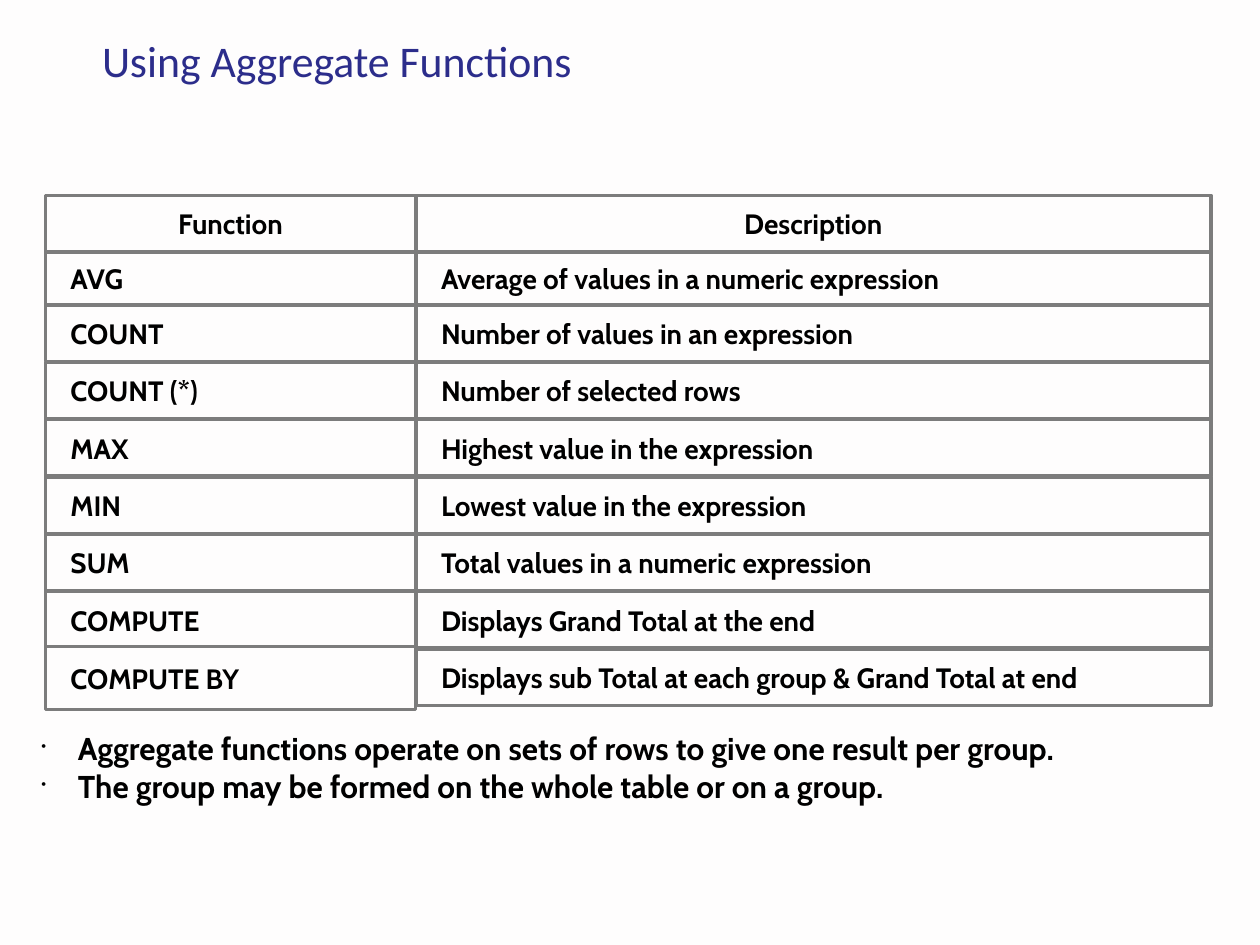
from lxml.etree import SubElement
from pptx import Presentation
from pptx.dml.color import RGBColor
from pptx.enum.shapes import MSO_SHAPE
from pptx.enum.text import MSO_ANCHOR, PP_ALIGN
from pptx.oxml.ns import qn
from pptx.util import Inches, Pt

COLORS = {"paper": "FEFDFD", "border": "7C7C7C", "text": "000000", "title": "2C2D8B"}

ROWS = [
    ("Function", "Description"),
    ("AVG", "Average of values in a numeric expression"),
    ("COUNT", "Number of values in an expression"),
    ("COUNT (*)", "Number of selected rows"),
    ("MAX", "Highest value in the expression"),
    ("MIN", "Lowest value in the expression"),
    ("SUM", "Total values in a numeric expression"),
    ("COMPUTE", "Displays Grand Total at the end"),
    ("COMPUTE BY", "Displays sub Total at each group & Grand Total at end"),
]
COLUMNS = [(0.36, 2.94), (3.3, 6.31)]
NOTES = [
    "Aggregate functions operate on sets of rows to give one result per group.",
    "The group may be formed on the whole table or on a group.",
]


def style_runs(paragraph, size, face, color, bold):
    for run in paragraph.runs:
        run.font.size = Pt(size)
        run.font.name = face
        run.font.bold = bold
        run.font.color.rgb = RGBColor.from_string(COLORS[color])


def set_margins(frame, horizontal, vertical):
    frame.margin_left = frame.margin_right = Inches(horizontal)
    frame.margin_top = frame.margin_bottom = Inches(vertical)


presentation = Presentation()
presentation.slide_width = Inches(10)
presentation.slide_height = Inches(7.5)
slide = presentation.slides.add_slide(presentation.slide_layouts[6])
slide.background.fill.solid()
slide.background.fill.fore_color.rgb = RGBColor.from_string(COLORS["paper"])

tops = [1.55, 2] + [2.42 + 0.455 * step for step in range(7)]
heights = [0.45, 0.42] + [0.45] * 7

for row, (labels, top, height) in enumerate(zip(ROWS, tops, heights)):
    for column, (label, (left, width)) in enumerate(zip(labels, COLUMNS)):
        if row == len(ROWS) - 1 and column == 0:
            top_edge, cell_height = 5.13, 0.5
        else:
            top_edge, cell_height = top, height
        cell = slide.shapes.add_shape(
            MSO_SHAPE.RECTANGLE,
            Inches(left), Inches(top_edge), Inches(width), Inches(cell_height),
        )
        cell.shadow.inherit = False
        cell.fill.solid()
        cell.fill.fore_color.rgb = RGBColor.from_string(COLORS["paper"])
        cell.line.color.rgb = RGBColor.from_string(COLORS["border"])
        cell.line.width = Pt(2)
        frame = cell.text_frame
        frame.word_wrap = False
        frame.vertical_anchor = MSO_ANCHOR.MIDDLE
        frame.text = label
        if row == 0:
            set_margins(frame, 0.1, 0.05)
            frame.paragraphs[0].alignment = PP_ALIGN.CENTER
        else:
            set_margins(frame, 0.2, 0.2)
            frame.paragraphs[0].alignment = PP_ALIGN.LEFT
        style_runs(frame.paragraphs[0], 16, "Cabin", "text", True)

notes = slide.shapes.add_textbox(Inches(0.23), Inches(5.74), Inches(9.22), Inches(0.71))
notes.text_frame.word_wrap = True
set_margins(notes.text_frame, 0.1, 0.05)
notes.text_frame.text = "\n".join(NOTES)
for paragraph in notes.text_frame.paragraphs:
    properties = paragraph._p.get_or_add_pPr()
    properties.set("marL", str(Inches(0.29)))
    properties.set("indent", str(-Inches(0.29)))
    SubElement(properties, qn("a:buSzPct")).set("val", "45000")
    SubElement(properties, qn("a:buChar")).set("char", "•")
    style_runs(paragraph, 18, "Cabin", "text", True)

title = slide.shapes.add_textbox(Inches(0.75), Inches(0.27), Inches(6.21), Inches(0.42))
title.text_frame.word_wrap = True
set_margins(title.text_frame, 0, 0)
title.text_frame.margin_left = Inches(0.06)
title.text_frame.text = "Using Aggregate Functions"
style_runs(title.text_frame.paragraphs[0], 25, "Calibri", "title", False)

presentation.save("out.pptx")
